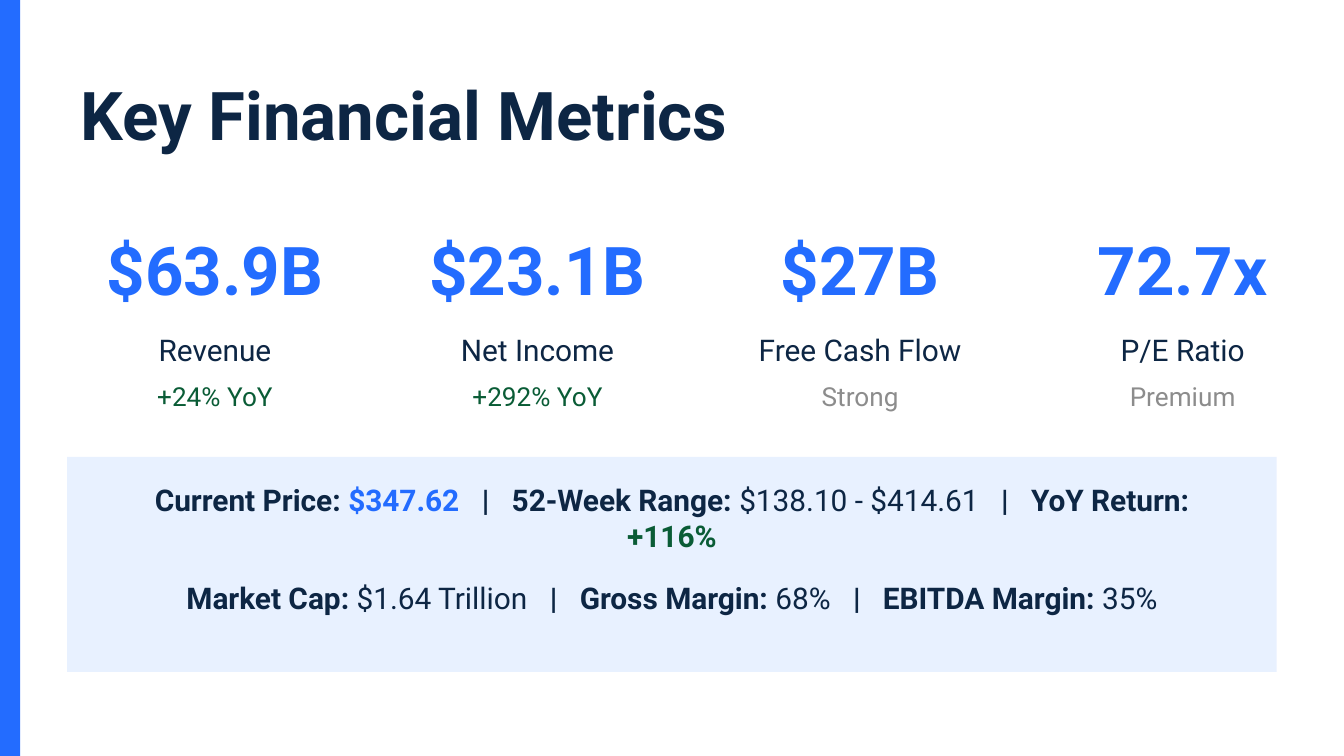
"""Build the Key Financial Metrics slide."""
from pptx import Presentation
from pptx.dml.color import RGBColor
from pptx.enum.shapes import MSO_SHAPE
from pptx.enum.text import MSO_ANCHOR, PP_ALIGN
from pptx.util import Pt

PX = 4572
FONT = "Roboto"
BLUE = RGBColor(0x23, 0x6C, 0xFF)
NAVY = RGBColor(0x0D, 0x26, 0x44)
GREEN = RGBColor(0x0A, 0x5C, 0x36)
GRAY = RGBColor(0x8C, 0x8C, 0x8C)
PALE_BLUE = RGBColor(0xE8, 0xF1, 0xFF)


def add_panel(slide, left, top, width, height, color):
    shape = slide.shapes.add_shape(
        MSO_SHAPE.RECTANGLE, left * PX, top * PX, width * PX, height * PX)
    shape.shadow.inherit = False
    shape.fill.solid()
    shape.fill.fore_color.rgb = color
    shape.line.fill.background()


def add_text(slide, box, text, size, color=NAVY, bold=False,
             align=PP_ALIGN.CENTER, anchor=MSO_ANCHOR.MIDDLE):
    frame = slide.shapes.add_textbox(*(length * PX for length in box)).text_frame
    frame.word_wrap = True
    frame.vertical_anchor = anchor
    paragraph = frame.paragraphs[0]
    paragraph.text = text
    paragraph.alignment = align
    paragraph.font.name = FONT
    paragraph.font.size = Pt(size)
    paragraph.font.bold = bold
    paragraph.font.color.rgb = color
    return paragraph


presentation = Presentation()
presentation.slide_width = 2000 * PX
presentation.slide_height = 1125 * PX
slide = presentation.slides.add_slide(presentation.slide_layouts[6])

add_panel(slide, 0, 0, 30, 1125, BLUE)
add_text(slide, (100, 100, 1800, 140), "Key Financial Metrics", 36, bold=True,
         align=PP_ALIGN.LEFT, anchor=MSO_ANCHOR.TOP)

metrics = [
    ("$63.9B", "Revenue", "+24% YoY", GREEN),
    ("$23.1B", "Net Income", "+292% YoY", GREEN),
    ("$27B", "Free Cash Flow", "Strong", GRAY),
    ("72.7x", "P/E Ratio", "Premium", GRAY),
]
for column, (value, label, note, note_color) in enumerate(metrics):
    left = 100 + 480 * column
    add_text(slide, (left, 320, 440, 160), value, 36, BLUE, bold=True)
    add_text(slide, (left, 480, 440, 80), label, 16)
    add_text(slide, (left, 560, 440, 60), note, 14, note_color)

add_panel(slide, 100, 680, 1800, 320, PALE_BLUE)
summary_lines = [
    [("Current Price:", "$347.62", BLUE, True),
     ("52-Week Range:", "$138.10 - $414.61", NAVY, False),
     ("YoY Return:", "+116%", GREEN, True)],
    [("Market Cap:", "$1.64 Trillion", NAVY, False),
     ("Gross Margin:", "68%", NAVY, False),
     ("EBITDA Margin:", "35%", NAVY, False)],
]
for row, facts in enumerate(summary_lines):
    paragraph = add_text(slide, (140, 720 + 120 * row, 1720, 100), "", 16)
    for index, (label, value, color, bold) in enumerate(facts):
        pieces = [(f"{label} ", NAVY, True), (value, color, bold)]
        if index:
            separator = paragraph.add_run()
            separator.text = " |"
            separator.font.bold = True
            separator.font.color.rgb = NAVY
            separator.font._element.set("spc", "800")
            pieces[0] = (f" {label} ", NAVY, True)
        for text, text_color, text_bold in pieces:
            run = paragraph.add_run()
            run.text = text
            run.font.bold = text_bold
            run.font.color.rgb = text_color

presentation.save("out.pptx")
